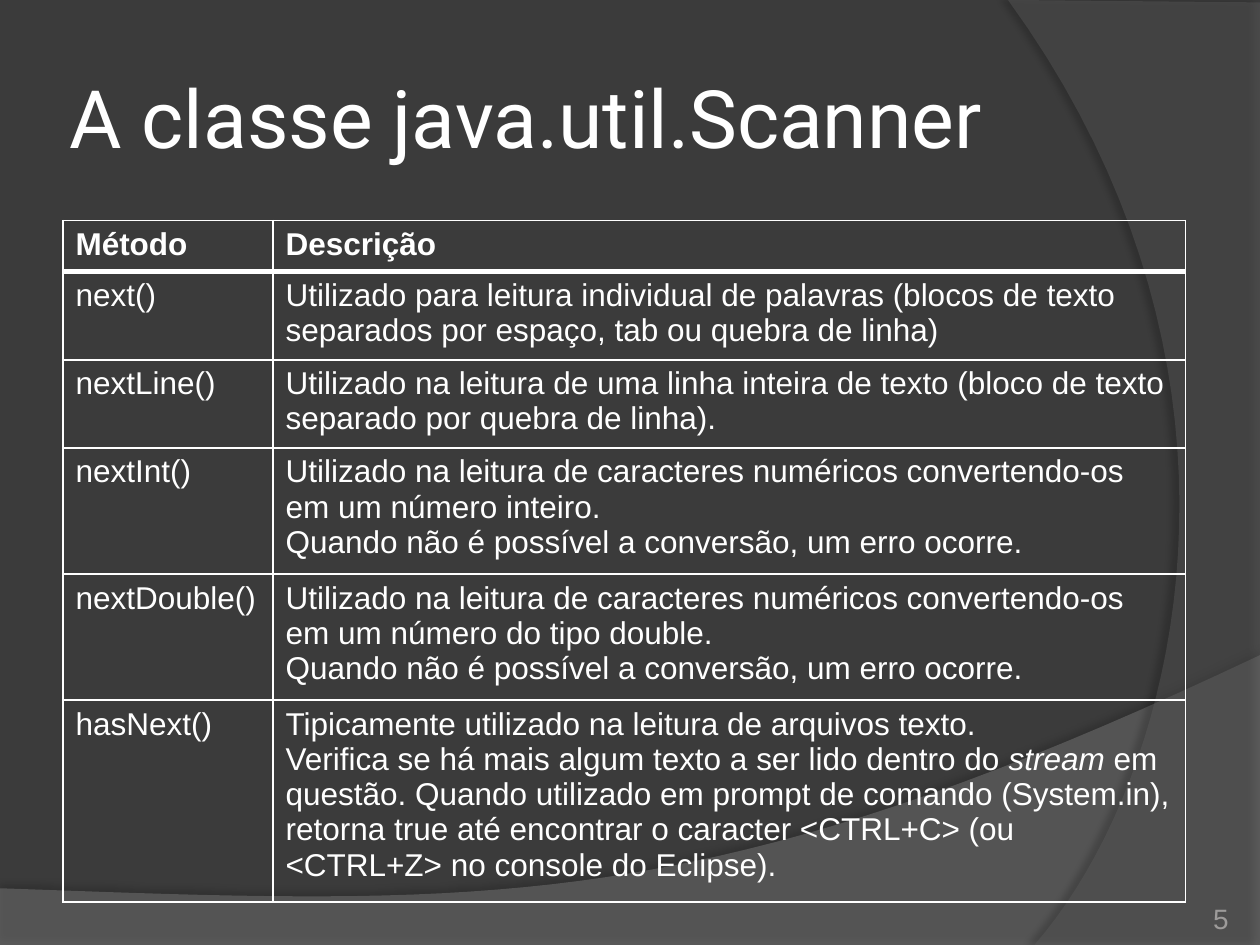
from dataclasses import dataclass

from lxml import etree
from pptx import Presentation
from pptx import util as u
from pptx.dml.color import RGBColor
from pptx.enum import text
from pptx.oxml import ns

Pt = u.Pt


@dataclass(frozen=True)
class Theme:
    back: str = "3B3B3B"
    wave: str = "7F7F7F"
    arc: str = "5E5E5E"
    shade: str = "000000"
    ink: str = "FFFFFF"
    faint: str = "9D9B9A"
    head: str = "Roboto"
    body: str = "Arial"
    big: float = 46
    mid: float = 18
    small: float = 16
    thin: float = 1
    thick: float = 3


THEME = Theme()
FAIL = "Quando não é possível a conversão, um erro ocorre."
# A paragraph is a list of parts; every second part is italic.
ROWS = [
    ("Método", [["Descrição"]]),
    ("next()", [["Utilizado para leitura individual de palavras (blocos de texto "
                 "separados por espaço, tab ou quebra de linha)"]]),
    ("nextLine()", [["Utilizado na leitura de uma linha inteira de texto (bloco de texto "
                     "separado por quebra de linha)."]]),
    ("nextInt()", [["Utilizado na leitura de caracteres numéricos convertendo-os "
                    "em um número inteiro."], [FAIL]]),
    ("nextDouble()", [["Utilizado na leitura de caracteres numéricos convertendo-os "
                       "em um número do tipo double."], [FAIL]]),
    ("hasNext()", [["Tipicamente utilizado na leitura de arquivos texto."],
                   ["Verifica se há mais algum texto a ser lido dentro do ", "stream",
                    " em questão. Quando utilizado em prompt de comando (System.in), "
                    "retorna true até encontrar o caracter <CTRL+C> (ou <CTRL+Z> "
                    "no console do Eclipse)."]]),
]


def add_node(parent, tag, **attrs):
    node = etree.SubElement(parent, ns.qn(tag))
    for key, value in attrs.items():
        node.set(key, str(value))
    return node


def add_tint(parent, color, alpha):
    tint = add_node(parent, "a:srgbClr", val=color)
    add_node(tint, "a:alpha", val=alpha * 1000)


def curve(start, first, second, end, steps=40):
    """Points along a cubic Bezier curve, after its start."""
    points = []
    for step in range(1, steps + 1):
        t = step / steps
        s = 1 - t
        points.append(tuple(
            s**3 * a + 3 * s * s * t * b + 3 * s * t * t * c + t**3 * d
            for a, b, c, d in zip(start, first, second, end)))
    return points


def add_sweep(slide, points, color, alpha, shade, dist, angle):
    """Draw a translucent outline with a soft shadow."""
    places = [(Pt(x), Pt(y)) for x, y in points]
    build = slide.shapes.build_freeform(*places[0])
    build.add_line_segments(places[1:], close=True)
    shape = build.convert_to_shape()
    shape.line.fill.background()
    shape.fill.solid()
    shape.fill.fore_color.rgb = RGBColor.from_string(color)
    tone = shape.fill._xPr.find(ns.qn("a:solidFill"))[0]
    add_node(tone, "a:alpha", val=alpha * 1000)
    effect = add_node(shape.fill._xPr, "a:effectLst")
    shadow = add_node(effect, "a:outerShdw", blurRad=Pt(4), dist=Pt(dist),
                      dir=angle * 60000, algn="ctr", rotWithShape=0)
    add_tint(shadow, THEME.shade, shade)


def set_font(font, face, size, color, bold=False):
    font.name = face
    font.size = Pt(size)
    font.bold = bold
    font.color.rgb = RGBColor.from_string(color)


def add_label(slide, words, box, pad, anchor, align, face, size, color):
    frame = slide.shapes.add_textbox(*map(Pt, box)).text_frame
    frame.word_wrap = True
    frame.vertical_anchor = anchor
    frame.margin_left = frame.margin_right = Pt(pad)
    frame.margin_top = frame.margin_bottom = Pt(pad)
    line = frame.paragraphs[0]
    line.text = words
    line.alignment = align
    set_font(line.font, face, size, color)


def set_edges(cell, top, base):
    props = cell._tc.get_or_add_tcPr()
    for side, width in zip("LRTB", (THEME.thin, THEME.thin, top, base)):
        edge = add_node(props, f"a:ln{side}", w=Pt(width))
        fill = add_node(edge, "a:solidFill")
        add_node(fill, "a:srgbClr", val=THEME.ink)


def fill_cell(cell, lines, bold):
    frame = cell.text_frame
    for index, parts in enumerate(lines):
        line = frame.add_paragraph() if index else frame.paragraphs[0]
        set_font(line.font, THEME.body, THEME.mid, THEME.ink, bold)
        for order, part in enumerate(parts):
            run = line.add_run()
            run.text = part
            if order % 2:
                run.font.italic = True


def add_grid(slide, left, top, widths, height):
    table = slide.shapes.add_table(
        len(ROWS), len(widths), Pt(left), Pt(top),
        Pt(sum(widths)), Pt(height * len(ROWS))).table
    table.horz_banding = False
    for column, width in zip(table.columns, widths):
        column.width = Pt(width)
    for index, (method, lines) in enumerate(ROWS):
        table.rows[index].height = Pt(height)
        over = THEME.thick if index == 1 else THEME.thin
        under = THEME.thick if index == 0 else THEME.thin
        for cell, content in zip(table.rows[index].cells, ([[method]], lines)):
            fill_cell(cell, content, bold=index == 0)
            set_edges(cell, over, under)
            cell.fill.background()


def main():
    deck = Presentation()
    deck.slide_width, deck.slide_height = Pt(720), Pt(540)
    slide = deck.slides.add_slide(deck.slide_layouts[6])
    back = slide.background.fill
    back.solid()
    back.fore_color.rgb = RGBColor.from_string(THEME.back)

    wave = [(0, 507.6), (0, 540), (720, 540), (720, 374.4)]
    wave += curve(wave[-1], (402.5, 524.9), (281.5, 517.7), wave[0])
    add_sweep(slide, wave, THEME.wave, 45, 35, 3.5, 270)
    arc = [(720, 1.4), (720, 540), (591.1, 540)]
    arc += curve(arc[-1], (673.2, 445.7), (733, 216), (576, 0))
    add_sweep(slide, arc, THEME.arc, 40, 45, 4, 180)

    add_label(slide, "A classe java.util.Scanner", (36, 21.6, 656, 90), 3.6,
              text.MSO_ANCHOR.MIDDLE, text.PP_ALIGN.LEFT,
              THEME.head, THEME.big, THEME.ink)
    add_grid(slide, 36, 126, (120, 521.5), 29.2)
    add_label(slide, "5", (642, 505.5, 60, 28.8), 0,
              text.MSO_ANCHOR.BOTTOM, text.PP_ALIGN.RIGHT,
              THEME.body, THEME.small, THEME.faint)
    deck.save("out.pptx")


if __name__ == "__main__":
    main()
